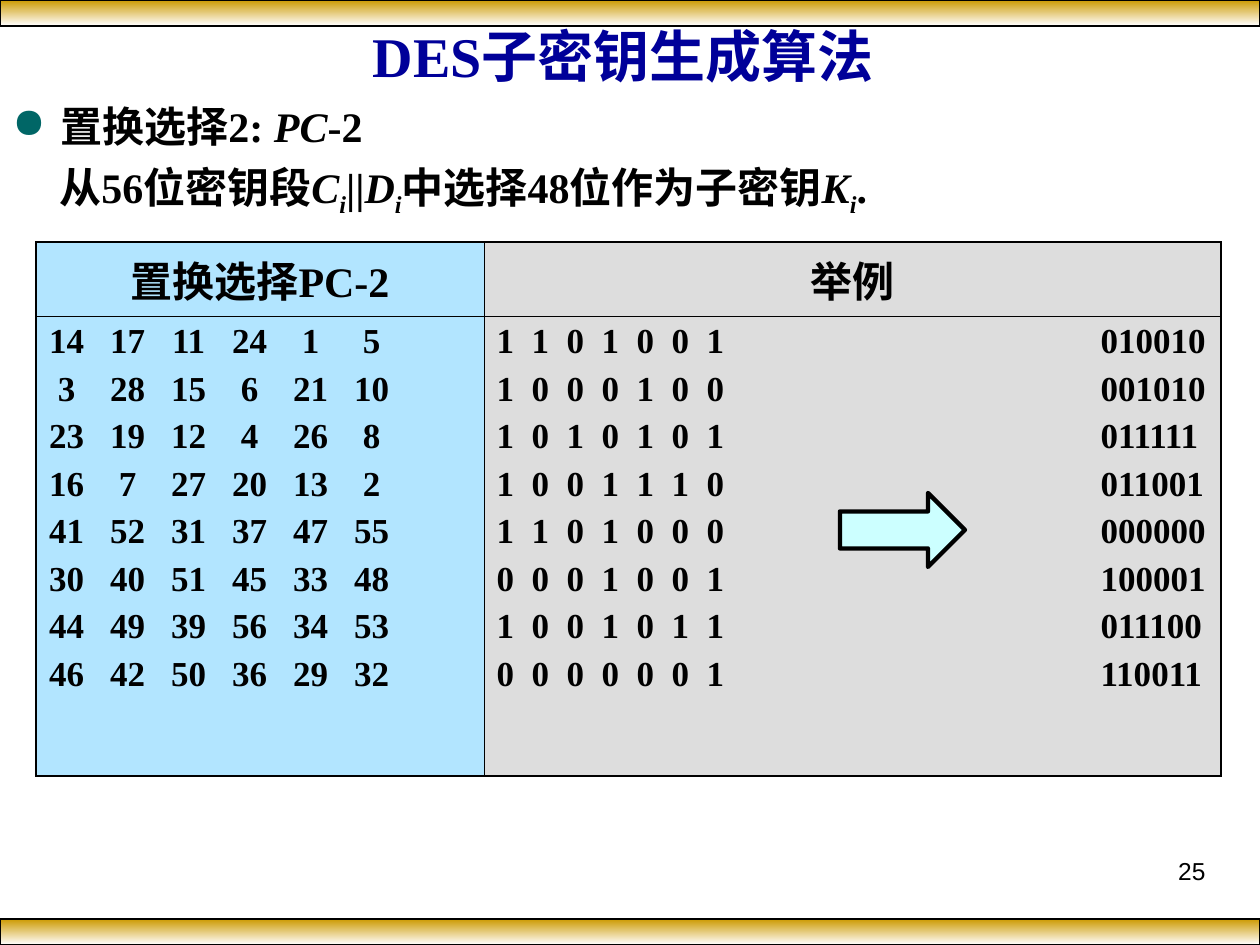
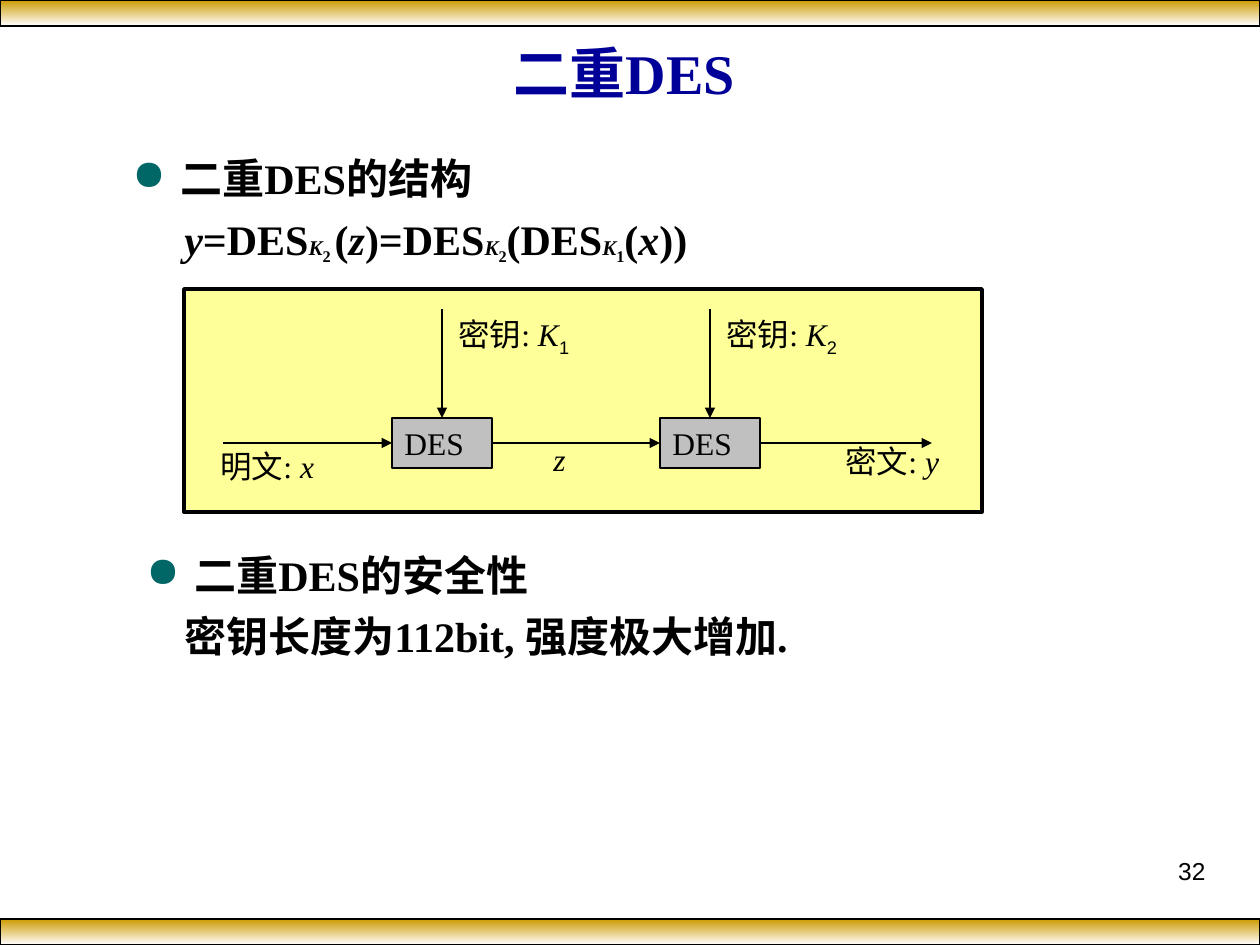
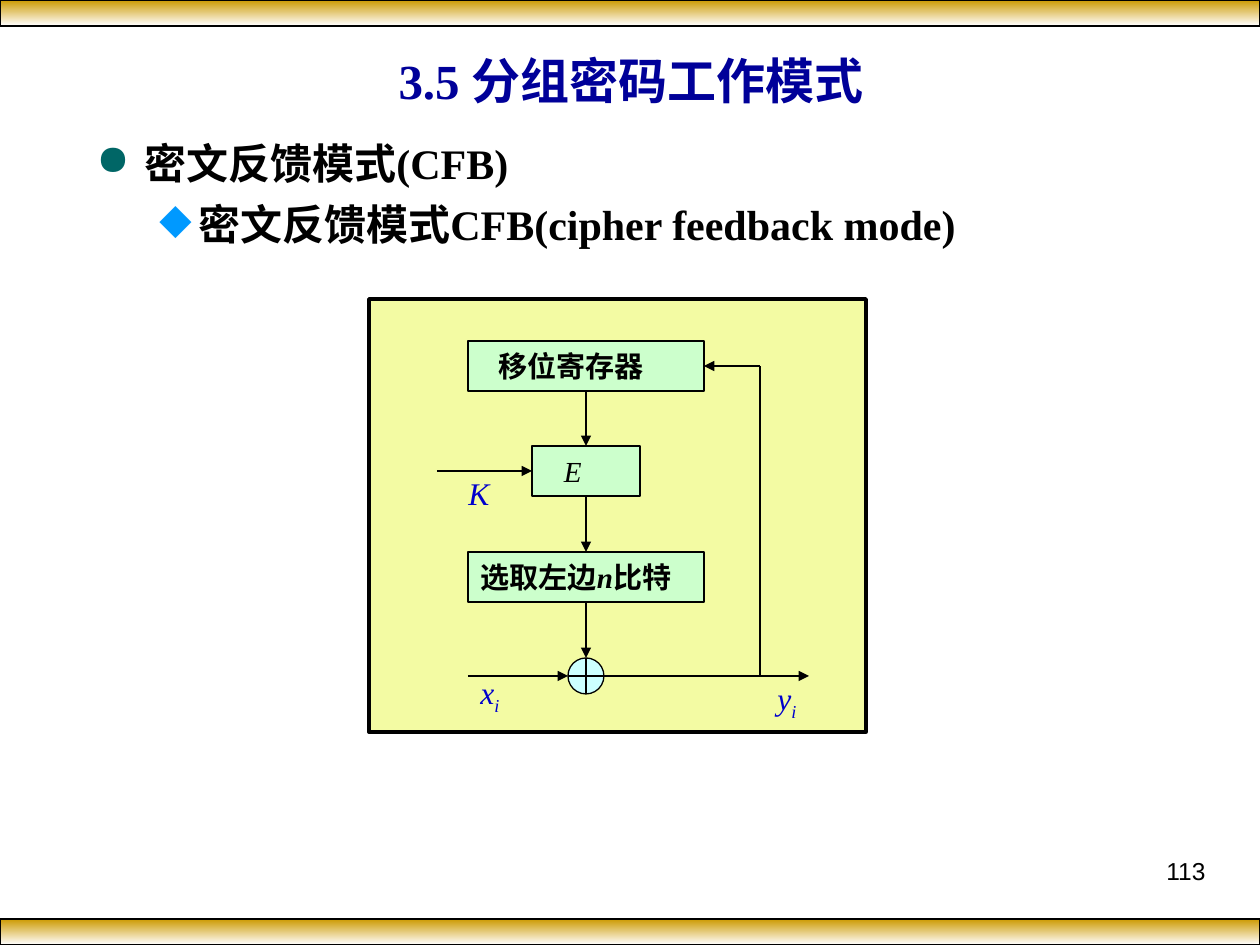
from pptx import Presentation
from pptx.dml.color import RGBColor
from pptx.enum.shapes import MSO_CONNECTOR, MSO_SHAPE as SHAPE
from pptx.enum.text import MSO_ANCHOR as ANCHOR, PP_ALIGN as ALIGN
from pptx.oxml.ns import qn
from pptx.util import Pt
from lxml.etree import SubElement

PX = 914400 / 126
SERIF, SANS = "Times New Roman", "Arial"
BLACK = RGBColor(0x00, 0x00, 0x00)
WHITE = RGBColor(0xFF, 0xFF, 0xFF)
GOLD = RGBColor(0xCC, 0x99, 0x00)
NAVY = RGBColor(0x00, 0x00, 0x99)
BLUE = RGBColor(0x00, 0x00, 0xCC)
SKY = RGBColor(0xB2, 0xE5, 0xFF)
SILVER = RGBColor(0xDD, 0xDD, 0xDD)
GRAY = RGBColor(0xC0, 0xC0, 0xC0)
YELLOW = RGBColor(0xFF, 0xFF, 0x99)
LIME = RGBColor(0xF3, 0xFB, 0xA3)
MINT = RGBColor(0xCC, 0xFF, 0xCC)
AQUA = RGBColor(0xCC, 0xFF, 0xFF)
DOT = ("●", "006666")
DIAMOND = ("◆", "0099FF")


def write(frame, lines, size, color=BLACK, bold=False, align=ALIGN.LEFT, gap=0, face=SERIF):
    """Each line is a list of runs: (text, marks, size); i = italic, _ = subscript, a = Arial."""
    for number, line in enumerate(lines):
        paragraph = frame.add_paragraph() if number else frame.paragraphs[0]
        paragraph.alignment = align
        if number:
            paragraph.space_before = Pt(gap)
        for text, marks, *own_size in line:
            run = paragraph.add_run()
            run.text = text
            font = run.font
            font.name = SANS if "a" in marks else face
            font.size = Pt(own_size[0] if own_size else size)
            font.bold, font.italic = bold, "i" in marks
            font.color.rgb = color
            if "_" in marks:
                font._element.set("baseline", "-25000")


def block(slide, box, kind=None, fill=None, weight=0.75):
    place = [round(length * PX) for length in box]
    if kind is None:
        shape = slide.shapes.add_textbox(*place)
    else:
        shape = slide.shapes.add_shape(kind, *place)
        shape.shadow.inherit = False
        shape.line.color.rgb = BLACK
        shape.line.width = Pt(weight)
        shape.text_frame.vertical_anchor = ANCHOR.MIDDLE
        if fill is not None:
            shape.fill.solid()
            shape.fill.fore_color.rgb = fill
    shape.text_frame.word_wrap = True
    return shape


deck = Presentation()
deck.slide_width, deck.slide_height = round(1260 * PX), round(945 * PX)

slides = []
for title, size, title_box, page in [
    ("DES子密钥生成算法", 32, (35, 26, 1177, 59), "25"),
    ("二重DES", 32, (74, 26, 1100, 92), "32"),
    ("3.5 分组密码工作模式", 28, (64, 45, 1134, 69), "113"),
]:
    slide = deck.slides.add_slide(deck.slide_layouts[6])
    for top in (0, 919):
        band = block(slide, (0, top, 1260, 26), SHAPE.RECTANGLE)
        band.fill.gradient()
        band.fill.gradient_angle = 270
        for stop, color in zip(band.fill.gradient_stops, (GOLD, WHITE)):
            stop.color.rgb = color
    heading = block(slide, title_box).text_frame
    heading.vertical_anchor = ANCHOR.MIDDLE
    write(heading, [[(title, "")]], size, NAVY, True, ALIGN.CENTER)
    footer = block(slide, (903, 850, 315, 66)).text_frame
    write(footer, [[(page, "")]], 14, align=ALIGN.RIGHT, face=SANS)
    slides.append(slide)
subkey, double, feedback = slides

for slide, box, points in [
    (subkey, (0, 94, 1072, 131), [
        (DOT, 48, -48, [("置换选择2: ", ""), ("PC", "i"), ("-2", "")]),
        (None, 47, 0, [("从56位密钥段", ""), ("C", "i"), ("i", "i_"), ("||", ""), ("D", "i"), ("i", "i_"),
                       ("中选择48位作为子密钥", ""), ("K", "i"), ("i", "i_"), (".", "")]),
    ]),
    (double, (120, 146, 1086, 126), [
        (DOT, 48, -48, [("二重DES的结构", "")]),
        (None, 52, 0, [("y", "i"), ("=DES", ""), ("K", "i", 12), ("2 ", "_", 16), ("(", ""), ("z", "i"),
                       (")=DES", ""), ("K", "i", 12), ("2", "_", 16), ("(DES", ""), ("K", "i", 12),
                       ("1", "_", 16), ("(", ""), ("x", "i"), ("))", "")]),
    ]),
    (double, (134, 543, 1052, 125), [
        (DOT, 48, -48, [("二重DES的安全性", "")]),
        (None, 38, 0, [("密钥长度为112bit, 强度极大增加.", "")]),
    ]),
    (feedback, (84, 131, 1085, 125), [
        (DOT, 48, -48, [("密文反馈模式(CFB)", "")]),
        (DIAMOND, 102, -39, [("密文反馈模式CFB(cipher feedback mode)", "")]),
    ]),
]:
    body = block(slide, box).text_frame
    write(body, [runs for *_, runs in points], 24, bold=True, gap=6)
    for paragraph, (bullet, left, hang, _) in zip(body.paragraphs, points):
        layout = paragraph._p.get_or_add_pPr()
        layout.set("marL", str(round(left * PX)))
        layout.set("indent", str(round(hang * PX)))
        if bullet:
            sign, color = bullet
            SubElement(SubElement(layout, qn("a:buClr")), qn("a:srgbClr"), val=color)
            SubElement(layout, qn("a:buChar"), char=sign)

choices = """14 17 11 24 1 5
3 28 15 6 21 10
23 19 12 4 26 8
16 7 27 20 13 2
41 52 31 37 47 55
30 40 51 45 33 48
44 49 39 56 34 53
46 42 50 36 29 32""".splitlines()
examples = """1 1 0 1 0 0 1 010010
1 0 0 0 1 0 0 001010
1 0 1 0 1 0 1 011111
1 0 0 1 1 1 0 011001
1 1 0 1 0 0 0 000000
0 0 0 1 0 0 1 100001
1 0 0 1 0 1 1 011100
0 0 0 0 0 0 1 110011""".splitlines()
columns = [
    ("置换选择PC-2", ["\t" + row.replace(" ", "\t") for row in choices], SKY, 448,
     "ctr", [18 + 61 * n for n in range(6)]),
    ("举例", [row.replace(" ", "\t") for row in examples], SILVER, 737,
     "l", [35 * n for n in range(1, 7)] + [604]),
]
table = subkey.shapes.add_table(2, 2, *[round(n * PX) for n in (36, 242, 1185, 534)]).table
for row, height in zip(table.rows, (74, 460)):
    row.height = round(height * PX)
for x, (header, rows, fill, width, tab_align, stops) in enumerate(columns):
    table.columns[x].width = round(width * PX)
    for y in range(2):
        cell = table.cell(y, x)
        properties = cell._tc.get_or_add_tcPr()
        for side, outer in (("L", x == 0), ("R", x == 1), ("T", y == 0), ("B", y == 1)):
            border = SubElement(properties, qn("a:ln" + side), w=str(Pt(1.08 if outer else 0.45)))
            SubElement(SubElement(border, qn("a:solidFill")), qn("a:srgbClr"), val="000000")
        cell.fill.solid()
        cell.fill.fore_color.rgb = fill
    table.cell(0, x).vertical_anchor = ANCHOR.MIDDLE
    write(table.cell(0, x).text_frame, [[(header, "")]], 24, bold=True, align=ALIGN.CENTER)
    numbers = table.cell(1, x).text_frame
    write(numbers, [[(row, "")] for row in rows], 20, bold=True, gap=5)
    for paragraph in numbers.paragraphs:
        tabs = SubElement(paragraph._p.get_or_add_pPr(), qn("a:tabLst"))
        for stop in stops:
            SubElement(tabs, qn("a:tab"), pos=str(round(stop * PX)), algn=tab_align)
block(subkey, (840, 493, 125, 74), SHAPE.RIGHT_ARROW, AQUA, 2.5)

block(double, (184, 289, 798, 223), SHAPE.RECTANGLE, YELLOW, 2)
ciphers = []
for left, index in ((392, "1"), (660, "2")):
    cipher = block(double, (left, 418, 100, 50), SHAPE.RECTANGLE, GRAY, 1.5)
    write(cipher.text_frame, [[("DES", "")]], 18)
    ciphers.append(cipher)
    key = block(double, (left + 54, 309, 174, 55)).text_frame
    write(key, [[("密钥: ", ""), ("K", "i"), (index, "_a")]], 18)
first, second = ciphers

block(feedback, (369, 299, 497, 433), SHAPE.RECTANGLE, LIME, 2)
stages = []
for box, inset, bold, runs in [
    ((468, 341, 236, 50), 31, True, [("移位寄存器", "")]),
    ((532, 446, 108, 50), 32, False, [("E", "i")]),
    ((468, 552, 236, 50), 13, True, [("选取左边", ""), ("n", "i"), ("比特", "")]),
]:
    stage = block(feedback, box, SHAPE.RECTANGLE, MINT)
    stage.text_frame.margin_left = round(inset * PX)
    write(stage.text_frame, [runs], 16.6, bold=bold)
    stages.append(stage)
register, encryption, selection = stages
xor = block(feedback, (568, 658, 36, 36), SHAPE.FLOWCHART_OR, AQUA)

for slide, box, color, runs in [
    (double, (208, 441, 144, 50), BLACK, [("明文: ", ""), ("x", "i")]),
    (double, (541, 434, 79, 50), BLACK, [("z", "i")]),
    (double, (833, 436, 144, 50), BLACK, [("密文: ", ""), ("y", "i")]),
    (feedback, (456, 468, 52, 50), BLUE, [("K", "i")]),
    (feedback, (468, 667, 68, 55), BLUE, [("x", "i"), ("i", "i_")]),
    (feedback, (765, 673, 68, 55), BLUE, [("y", "i"), ("i", "i_")]),
]:
    write(block(slide, box).text_frame, [runs], 18, color)

TOP, LEFT, BOTTOM, RIGHT = range(4)
for slide, ends, source, target, pointed in [
    (double, (223, 443, 392, 443), None, (first, LEFT), True),
    (double, (442, 309, 442, 418), None, (first, TOP), True),
    (double, (492, 443, 660, 443), (first, RIGHT), (second, LEFT), True),
    (double, (710, 309, 710, 418), None, (second, TOP), True),
    (double, (760, 443, 932, 443), (second, RIGHT), None, True),
    (feedback, (586, 391, 586, 446), (register, BOTTOM), (encryption, TOP), True),
    (feedback, (586, 496, 586, 552), (encryption, BOTTOM), (selection, TOP), True),
    (feedback, (586, 602, 586, 658), (selection, BOTTOM), (xor, TOP), True),
    (feedback, (437, 471, 532, 471), None, (encryption, LEFT), True),
    (feedback, (468, 676, 568, 676), None, None, True),
    (feedback, (604, 676, 809, 676), None, None, True),
    (feedback, (760, 676, 760, 366), None, None, False),
    (feedback, (760, 366, 704, 366), None, (register, RIGHT), True),
]:
    flow = slide.shapes.add_connector(MSO_CONNECTOR.STRAIGHT, *[round(n * PX) for n in ends])
    if source:
        flow.begin_connect(*source)
    if target:
        flow.end_connect(*target)
    flow.line.color.rgb = BLACK
    flow.line.width = Pt(0.75)
    if pointed:
        SubElement(flow.line._get_or_add_ln(), qn("a:tailEnd"), type="triangle")
    SubElement(flow._element.spPr, qn("a:effectLst"))

deck.save("out.pptx")
